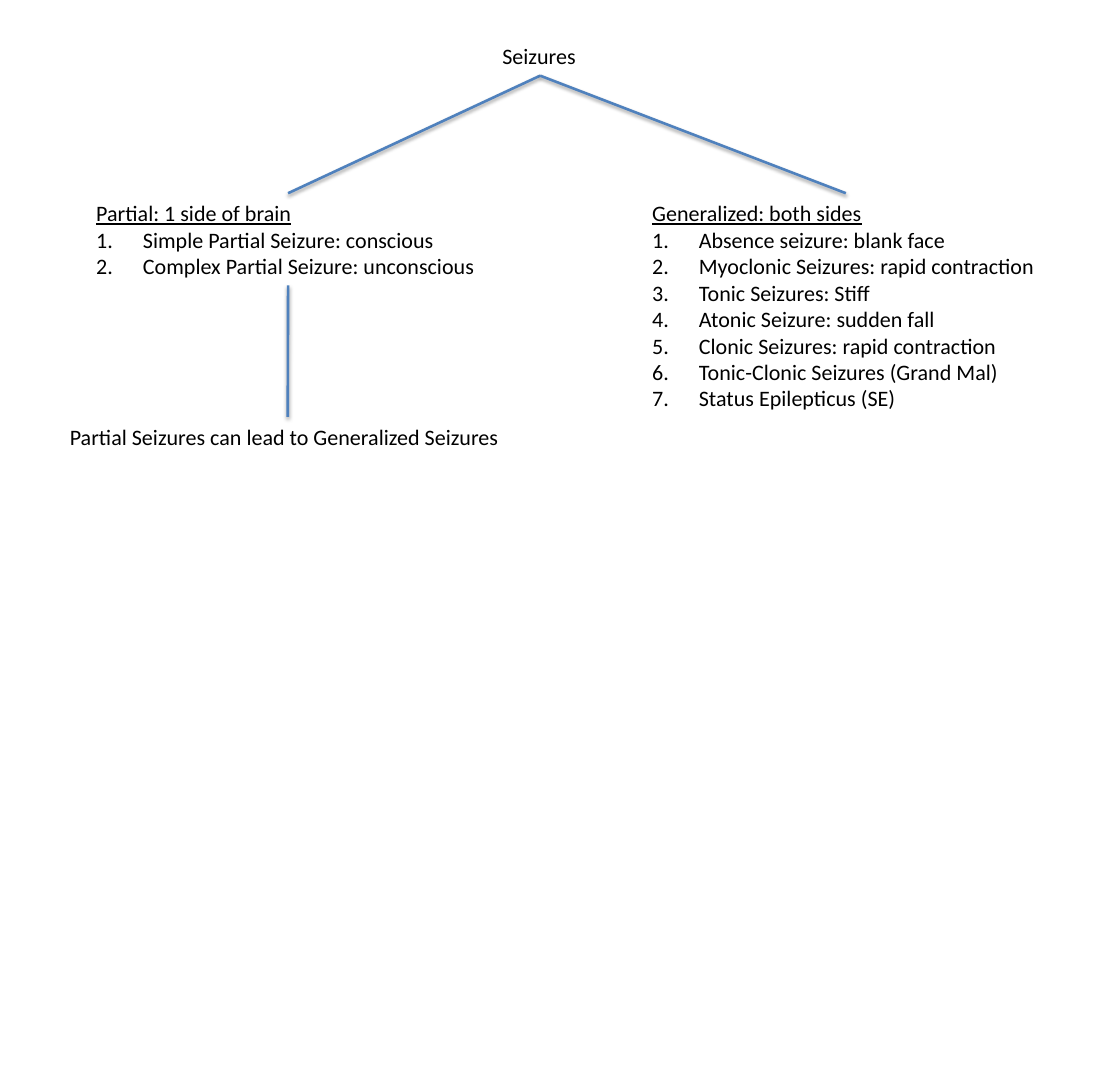
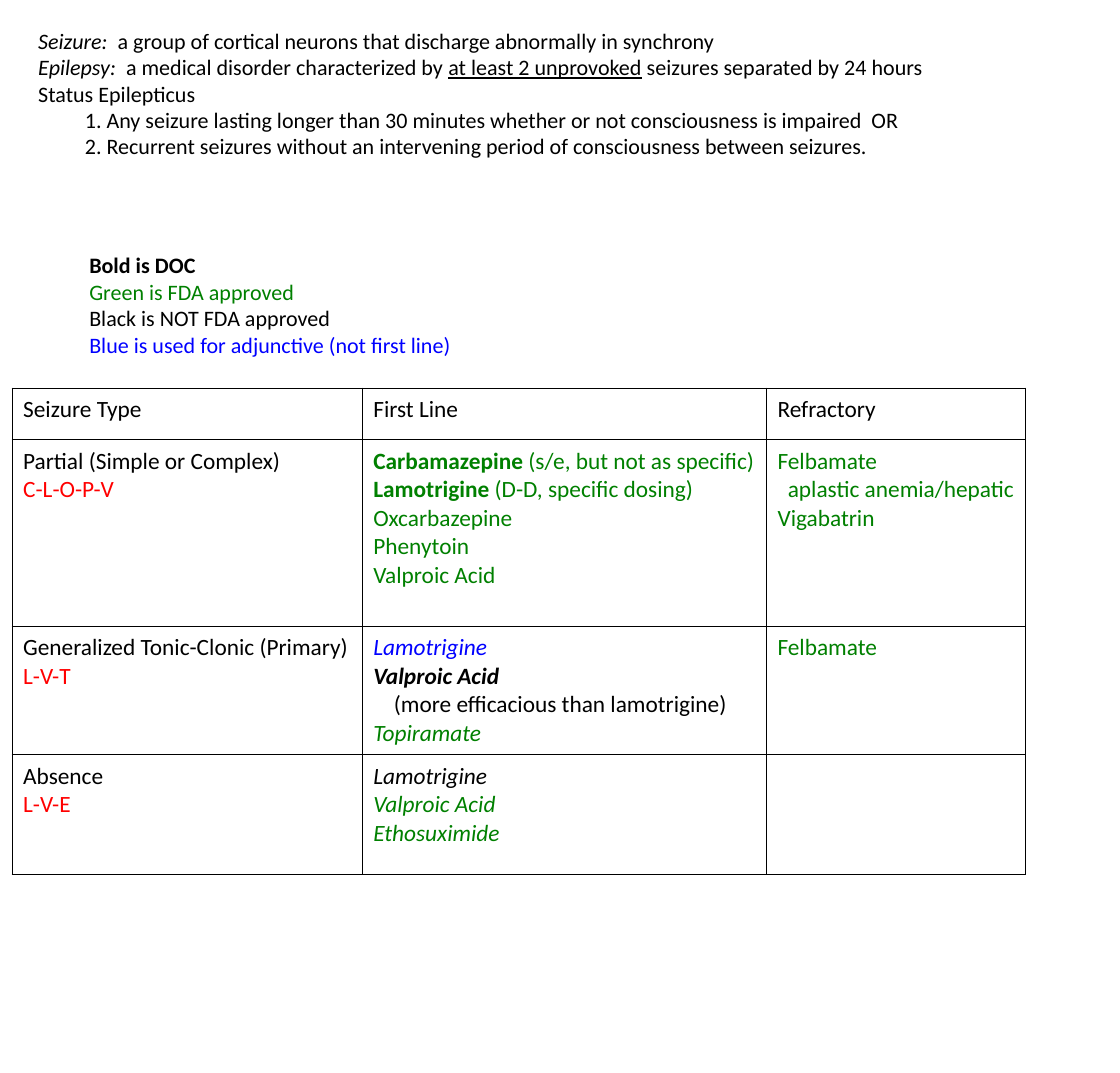
"""Build two study slides on seizure types and their drug treatment."""
from dataclasses import dataclass

from lxml import etree
from pptx import Presentation
from pptx import util as u
from pptx.dml.color import RGBColor
from pptx.enum import shapes, text
from pptx.oxml import ns


@dataclass(frozen=True)
class Theme:
    font: str = "Calibri"
    body: float = 17
    table: float = 18
    black: str = "000000"
    green: str = "008000"
    blue: str = "0000FF"
    red: str = "FF0000"
    connector: str = "4F81BD"
    connector_width: float = 2
    border_width: float = 1


@dataclass(frozen=True)
class Line:
    runs: tuple
    left: float = 0
    numbered: bool = False


THEME = Theme()
SLIDE_SIZE = (30.48, 29.21)
WIDE_INSETS = (0.33, 0.18)
NORMAL_INSETS = (0.25, 0.13)
CELL_INSETS = (0.3, 0.2)
INDENT = 1.27


def line(words, style="", left=0):
    return Line(((words, style),), left)


def numbered_list(heading, items):
    entries = [Line(((item, ""),), INDENT, True) for item in items]
    return [line(heading, "underline"), *entries]


TREE_BOXES = {
    "seizures": ((13.34, 0.99, 2.72, 1.07), [line("Seizures")]),
    "partial": ((2.29, 5.26, 11.1, 2.51), numbered_list("Partial: 1 side of brain", [
        "Simple Partial Seizure: conscious",
        "Complex Partial Seizure: unconscious",
    ])),
    "generalized": ((17.42, 5.26, 11.2, 6.88), numbered_list("Generalized: both sides", [
        "Absence seizure: blank face",
        "Myoclonic Seizures: rapid contraction",
        "Tonic Seizures: Stiff",
        "Atonic Seizure: sudden fall",
        "Clonic Seizures: rapid contraction",
        "Tonic-Clonic Seizures (Grand Mal)",
        "Status Epilepticus (SE)",
    ])),
    "progression": ((1.57, 11.35, 12.52, 1.07), [
        line("Partial Seizures can lead to Generalized Seizures"),
    ]),
}
TREE_LINKS = [
    ("seizures", "partial"),
    ("seizures", "generalized"),
    ("partial", "progression"),
]

DEFINITIONS_AT = (0.79, 0.61, 28.6, 4.62)
DEFINITIONS = [
    Line((("Seizure:", "italic"),
          ("  a group of cortical neurons that discharge abnormally in synchrony", ""))),
    Line((("Epilepsy:", "italic"),
          ("  a medical disorder characterized by ", ""),
          ("at least 2 unprovoked", "underline"),
          (" seizures separated by 24 hours", ""))),
    line("Status Epilepticus"),
    line("1. Any seizure lasting longer than 30 minutes whether or not "
         "consciousness is impaired  OR", left=INDENT),
    line("2. Recurrent seizures without an intervening period of "
         "consciousness between seizures.", left=INDENT),
]

LEGEND_AT = (2.18, 6.73, 10.46, 3.18)
LEGEND = [
    line("Bold is DOC", "bold"),
    line("Green is FDA approved", "green"),
    line("Black is NOT FDA approved"),
    line("Blue is used for adjunctive (not first line)", "blue"),
]

TABLE_ORIGIN = (0.33, 10.57)
COLUMN_WIDTHS = (9.53, 11, 7.06)
ROW_HEIGHTS = (1.4, 5.08, 3.25, 3.25)
TREATMENTS = [
    [[line("Seizure Type")], [line("First Line")], [line("Refractory")]],
    [
        [line("Partial (Simple or Complex)"), line("C-L-O-P-V", "red")],
        [
            Line((("Carbamazepine ", "green bold"), ("(s/e, but not as specific)", "green"))),
            Line((("Lamotrigine ", "green bold"), ("(D-D, specific dosing)", "green"))),
            line("Oxcarbazepine", "green"),
            line("Phenytoin", "green"),
            line("Valproic Acid", "green"),
        ],
        [
            line("Felbamate", "green"),
            line("aplastic anemia/hepatic", "green", 0.28),
            line("Vigabatrin", "green"),
        ],
    ],
    [
        [line("Generalized Tonic-Clonic (Primary)"), line("L-V-T", "red")],
        [
            line("Lamotrigine", "blue italic"),
            line("Valproic Acid", "bold italic"),
            line("(more efficacious than lamotrigine)", left=0.56),
            line("Topiramate", "green italic"),
        ],
        [line("Felbamate", "green")],
    ],
    [
        [line("Absence"), line("L-V-E", "red")],
        [
            line("Lamotrigine", "italic"),
            line("Valproic Acid", "green italic"),
            line("Ethosuximide", "green italic"),
        ],
        [],
    ],
]


def add_element(parent, tag, **attributes):
    values = {name: str(value) for name, value in attributes.items()}
    return etree.SubElement(parent, ns.qn(tag), values)


def write_lines(frame, lines, size):
    for index, entry in enumerate(lines):
        paragraph = frame.add_paragraph() if index else frame.paragraphs[0]
        properties = paragraph._p.get_or_add_pPr()
        if entry.left:
            properties.set("marL", str(u.Cm(entry.left)))
        if entry.numbered:
            properties.set("indent", str(-u.Cm(entry.left)))
            add_element(properties, "a:buFont", typeface="+mj-lt")
            add_element(properties, "a:buAutoNum", type="arabicPeriod")
        for words, style in entry.runs:
            styles = style.split()
            colour = next((name for name in styles if name in ("green", "blue", "red")), "black")
            run = paragraph.add_run()
            run.text = words
            run.font.name = THEME.font
            run.font.size = u.Pt(size)
            run.font.color.rgb = RGBColor.from_string(getattr(THEME, colour))
            run.font.bold = "bold" in styles
            run.font.italic = "italic" in styles
            run.font.underline = "underline" in styles


def set_insets(target, insets):
    target.margin_left = target.margin_right = u.Cm(insets[0])
    target.margin_top = target.margin_bottom = u.Cm(insets[1])


def add_text(slide, place, lines, insets, wrap=False):
    shape = slide.shapes.add_textbox(*map(u.Cm, place))
    frame = shape.text_frame
    frame.word_wrap = wrap
    if not wrap:
        frame.auto_size = text.MSO_AUTO_SIZE.SHAPE_TO_FIT_TEXT
    set_insets(frame, insets)
    write_lines(frame, lines, THEME.body)
    return shape


def add_link(slide, parent, child):
    connector = slide.shapes.add_connector(shapes.MSO_CONNECTOR.STRAIGHT, 0, 0, 0, 0)
    connector.begin_connect(parent, 2)
    connector.end_connect(child, 0)
    connector.line.color.rgb = RGBColor.from_string(THEME.connector)
    connector.line.width = u.Pt(THEME.connector_width)
    effects = add_element(connector._element.spPr, "a:effectLst")
    shadow = add_element(effects, "a:outerShdw", blurRad=u.Pt(3.1), dist=u.Pt(1.6),
                         dir=5400000, rotWithShape=0)
    colour = add_element(shadow, "a:srgbClr", val=THEME.black)
    add_element(colour, "a:alpha", val=38000)


def add_borders(cell):
    properties = cell._tc.get_or_add_tcPr()
    for side in ("L", "R", "T", "B"):
        border = add_element(properties, f"a:ln{side}", w=u.Pt(THEME.border_width))
        fill = add_element(border, "a:solidFill")
        add_element(fill, "a:srgbClr", val=THEME.black)


def add_treatment_table(slide):
    size = (sum(COLUMN_WIDTHS), sum(ROW_HEIGHTS))
    table = slide.shapes.add_table(len(ROW_HEIGHTS), len(COLUMN_WIDTHS),
                                   *map(u.Cm, TABLE_ORIGIN + size)).table
    table.first_row = table.horz_banding = False
    for column, width in zip(table.columns, COLUMN_WIDTHS):
        column.width = u.Cm(width)
    for row, height, contents in zip(table.rows, ROW_HEIGHTS, TREATMENTS):
        row.height = u.Cm(height)
        for cell, lines in zip(row.cells, contents):
            set_insets(cell, CELL_INSETS)
            add_borders(cell)
            cell.fill.background()
            write_lines(cell.text_frame, lines, THEME.table)


def build_classification(slide):
    boxes = {name: add_text(slide, place, lines, WIDE_INSETS)
             for name, (place, lines) in TREE_BOXES.items()}
    for parent, child in TREE_LINKS:
        add_link(slide, boxes[parent], boxes[child])


def build_treatment(slide):
    add_treatment_table(slide)
    add_text(slide, DEFINITIONS_AT, DEFINITIONS, NORMAL_INSETS, wrap=True)
    add_text(slide, LEGEND_AT, LEGEND, NORMAL_INSETS)


def main():
    presentation = Presentation()
    presentation.slide_width, presentation.slide_height = map(u.Cm, SLIDE_SIZE)
    blank = presentation.slide_layouts[6]
    for build in (build_classification, build_treatment):
        build(presentation.slides.add_slide(blank))
    presentation.save("out.pptx")


if __name__ == "__main__":
    main()
